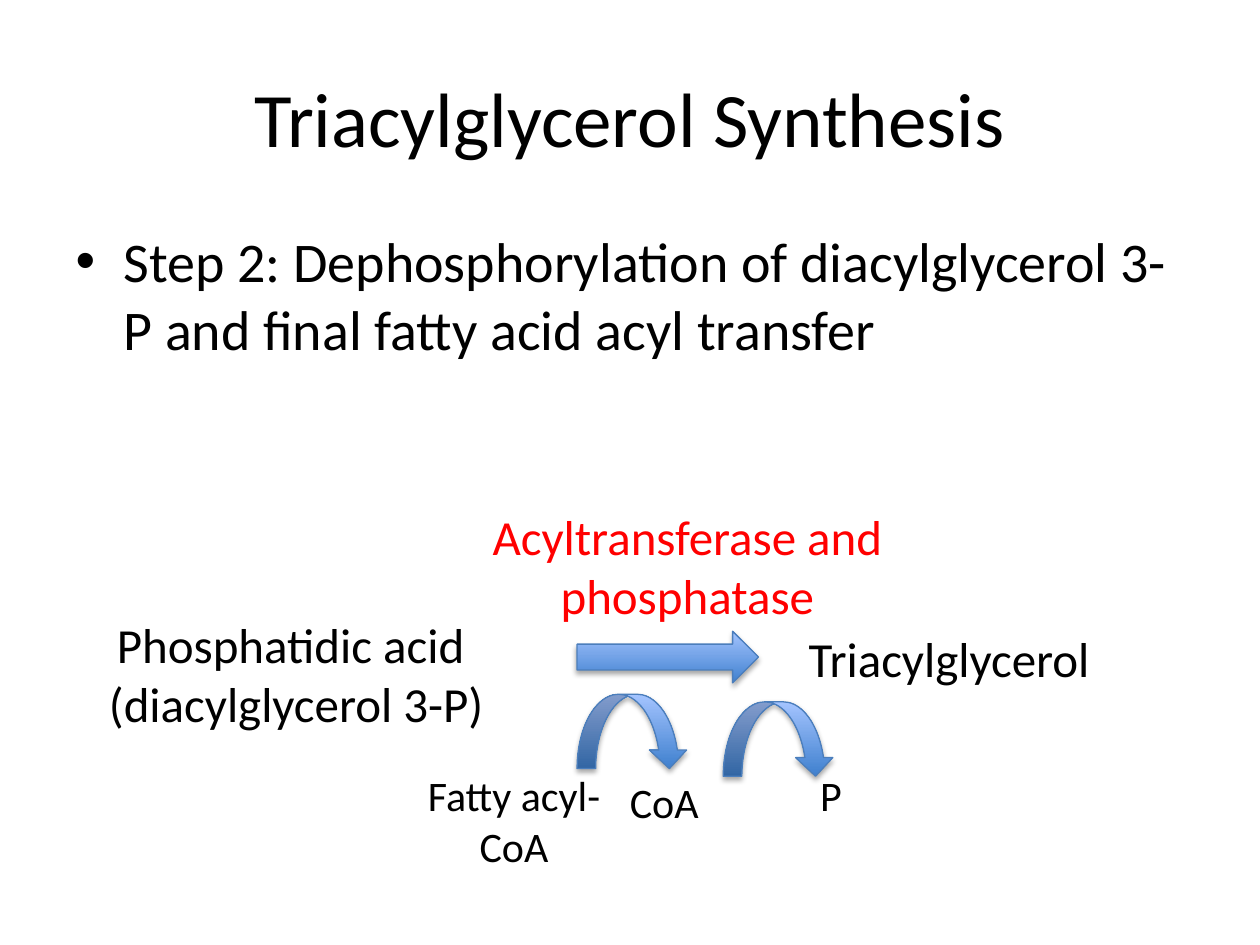
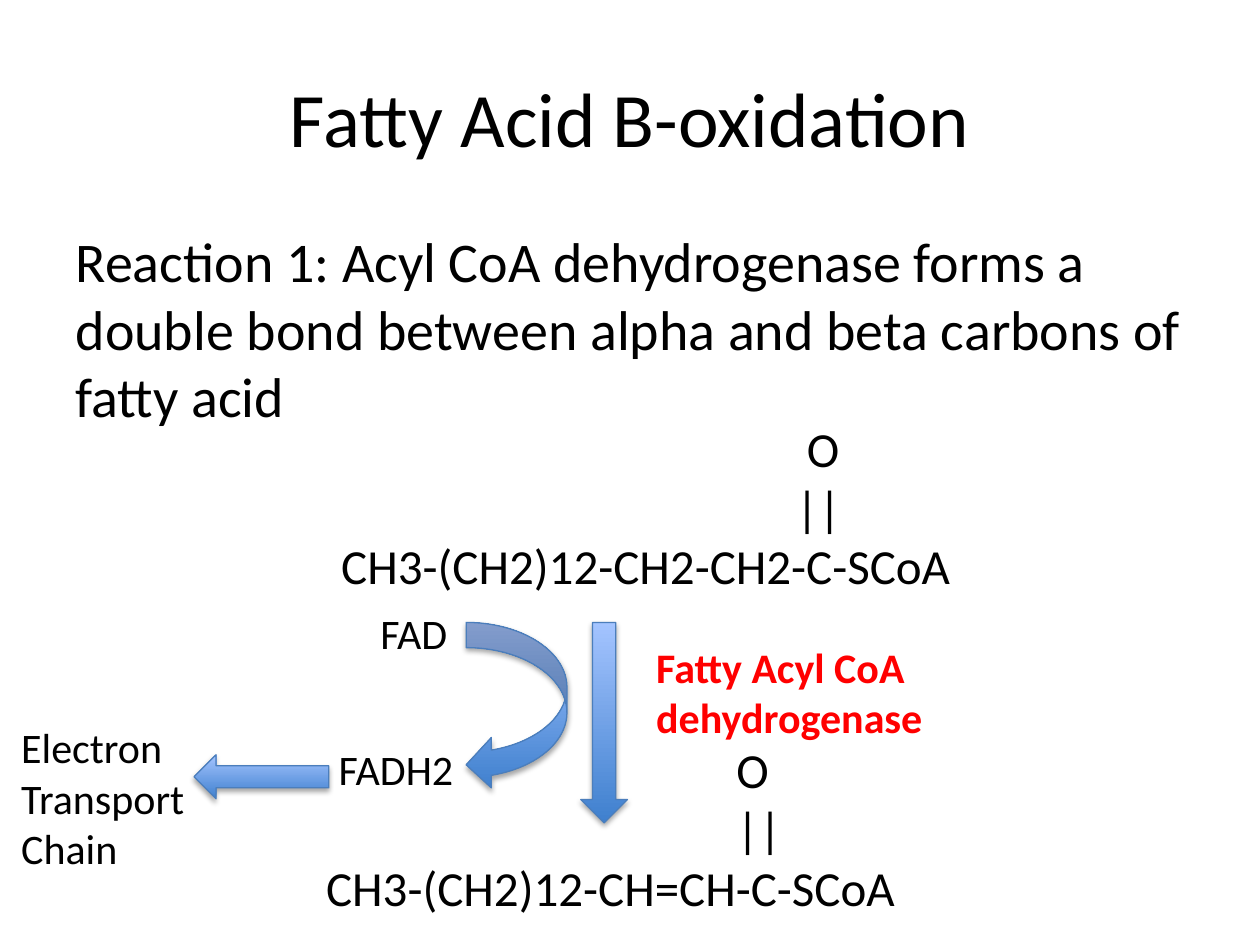
from lxml import etree
from pptx import Presentation
from pptx.dml.color import RGBColor
from pptx.enum import shapes, text
from pptx.oxml.ns import qn
from pptx.util import Inches, Pt

FONT = "Calibri"
BLACK, RED = "000000", "FF0000"
ARROW_DARK, ARROW_LIGHT, ARROW_EDGE = "3F80CE", "A4C4FF", "4B7EBC"
SPACE_WIDTH = 0.088  # inches taken by one space at 28 pt

ARROW = shapes.MSO_SHAPE
CENTER = {"align": text.PP_ALIGN.CENTER}
ENZYME = {"color": RED}
NO_WRAP = {"wrap": False}


def carbonyl(chain, oxygen_column, bond_column):
    """Lines of a formula with a double-bonded oxygen above the chain: (text, indent)."""
    return [("O", oxygen_column * SPACE_WIDTH), ("||", bond_column * SPACE_WIDTH), (chain, 0)]


# Arrows: (preset, left, top, width, height)
# Labels: (lines, left, top, width, height, size, format)
SLIDES = [
    {
        "title": "Triacylglycerol Synthesis",
        "body": "Step 2: Dephosphorylation of diacylglycerol 3-P and final fatty acid acyl transfer",
        "bullet": True,
        "arrows": [
            (ARROW.RIGHT_ARROW, 4.58, 5.01, 1.44, 0.41),
            (ARROW.CURVED_DOWN_ARROW, 4.58, 5.51, 0.88, 0.59),
            (ARROW.CURVED_DOWN_ARROW, 5.74, 5.57, 0.88, 0.59),
        ],
        "labels": [
            (["Triacylglycerol"], 6.32, 4.94, 2.49, 0.57, 28, NO_WRAP),
            (["Phosphatidic acid ", "(diacylglycerol 3-P)"],
             0.74, 4.83, 3.22, 1.04, 28, NO_WRAP | CENTER),
            (["Fatty acyl-CoA"], 3.03, 6.06, 2.1, 0.91, 24, CENTER),
            (["CoA"], 4.9, 6.11, 0.75, 0.5, 24, NO_WRAP),
            (["Acyltransferase and phosphatase"], 3.4, 3.97, 4.11, 1.04, 28, ENZYME | CENTER),
            (["P"], 6.41, 6.06, 0.38, 0.5, 24, NO_WRAP),
        ],
    },
    {
        "title": "Fatty Acid B-oxidation",
        "body": "Reaction 1: Acyl CoA dehydrogenase forms a double bond between "
                "alpha and beta carbons of fatty acid",
        "bullet": False,
        "arrows": [
            (ARROW.DOWN_ARROW, 4.61, 4.94, 0.37, 1.59),
            (ARROW.CURVED_LEFT_ARROW, 3.7, 4.94, 0.8, 1.33),
            (ARROW.LEFT_ARROW, 1.54, 5.99, 1.07, 0.35),
        ],
        "labels": [
            (carbonyl("CH3-(CH2)12-CH2-CH2-C-SCoA", 42, 41), 2.61, 3.27, 6.25, 1.51, 28, {}),
            (carbonyl("CH3-(CH2)12-CH=CH-C-SCoA", 37, 37), 2.49, 5.82, 4.99, 1.51, 28, {}),
            (["FADH2"], 2.59, 5.85, 1.13, 0.5, 24, {}),
            (["FAD"], 2.92, 4.77, 1.13, 0.5, 24, {}),
            (["Fatty Acyl CoA dehydrogenase"], 5.11, 5.04, 4.06, 0.91, 24, ENZYME | {"bold": True}),
            (["Electron Transport Chain"], 0.07, 5.68, 2.07, 1.31, 24, {}),
        ],
    },
]


def rgb(value):
    return RGBColor.from_string(value)


def set_font(paragraph, size, color=BLACK, bold=False):
    for key, value in {"name": FONT, "size": Pt(size), "bold": bold}.items():
        setattr(paragraph.font, key, value)
    paragraph.font.color.rgb = rgb(color)


def set_indent(paragraph, left, first=0):
    properties = paragraph._p.get_or_add_pPr()
    properties.set("marL", str(Inches(left)))
    properties.set("indent", str(Inches(first)))
    return properties


def fill_placeholder(placeholder, wording, place, size):
    for side, length in zip(("left", "top", "width", "height"), place):
        setattr(placeholder, side, Inches(length))
    placeholder.text_frame.text = wording
    return placeholder.text_frame.paragraphs[0], size


def add_heading(slide, wording):
    paragraph, size = fill_placeholder(slide.shapes.title, wording, (0.5, 0.3, 9, 1.25), 44)
    paragraph.alignment = text.PP_ALIGN.CENTER
    set_font(paragraph, size)


def add_statement(slide, wording, bullet):
    paragraph, size = fill_placeholder(slide.placeholders[1], wording, (0.5, 1.75, 9, 4.95), 32)
    properties = set_indent(paragraph, *((0.38, -0.38) if bullet else (0, 0)))
    if bullet:
        etree.SubElement(properties, qn("a:buChar"), char="•")
    else:
        etree.SubElement(properties, qn("a:buNone"))
    set_font(paragraph, size)


def add_soft_shadow(shape):
    shape.shadow.inherit = False
    effects = shape._element.spPr.find(qn("a:effectLst"))
    shadow = etree.SubElement(effects, qn("a:outerShdw"), blurRad=str(Pt(3.1)),
                              dist=str(Pt(1.8)), dir="5400000", rotWithShape="0")
    color = etree.SubElement(shadow, qn("a:srgbClr"), val=BLACK)
    etree.SubElement(color, qn("a:alpha"), val="35000")


def add_arrow(slide, preset, *place):
    arrow = slide.shapes.add_shape(preset, *map(Inches, place))
    arrow.fill.gradient()
    arrow.fill.gradient_angle = 90
    for stop, color, position in zip(arrow.fill.gradient_stops, (ARROW_DARK, ARROW_LIGHT), (0, 1)):
        stop.color.rgb = rgb(color)
        stop.position = position
    arrow.line.color.rgb = rgb(ARROW_EDGE)
    arrow.line.width = Pt(0.75)
    add_soft_shadow(arrow)


def add_label(slide, lines, left, top, width, height, size, style):
    frame = slide.shapes.add_textbox(*map(Inches, (left, top, width, height))).text_frame
    frame.word_wrap = style.get("wrap", True)
    frame.auto_size = text.MSO_AUTO_SIZE.SHAPE_TO_FIT_TEXT
    for number, line in enumerate(lines):
        wording, indent = line if isinstance(line, tuple) else (line, 0)
        paragraph = frame.add_paragraph() if number else frame.paragraphs[0]
        paragraph.text = wording
        paragraph.alignment = style.get("align", text.PP_ALIGN.LEFT)
        if indent:
            set_indent(paragraph, indent)
        set_font(paragraph, size, style.get("color", BLACK), style.get("bold", False))


def main():
    deck = Presentation()
    deck.slide_width, deck.slide_height = Inches(10), Inches(7.5)
    for content in SLIDES:
        slide = deck.slides.add_slide(deck.slide_layouts[1])
        add_heading(slide, content["title"])
        add_statement(slide, content["body"], content["bullet"])
        for arrow in content["arrows"]:
            add_arrow(slide, *arrow)
        for label in content["labels"]:
            add_label(slide, *label)
    deck.save("out.pptx")


if __name__ == "__main__":
    main()
